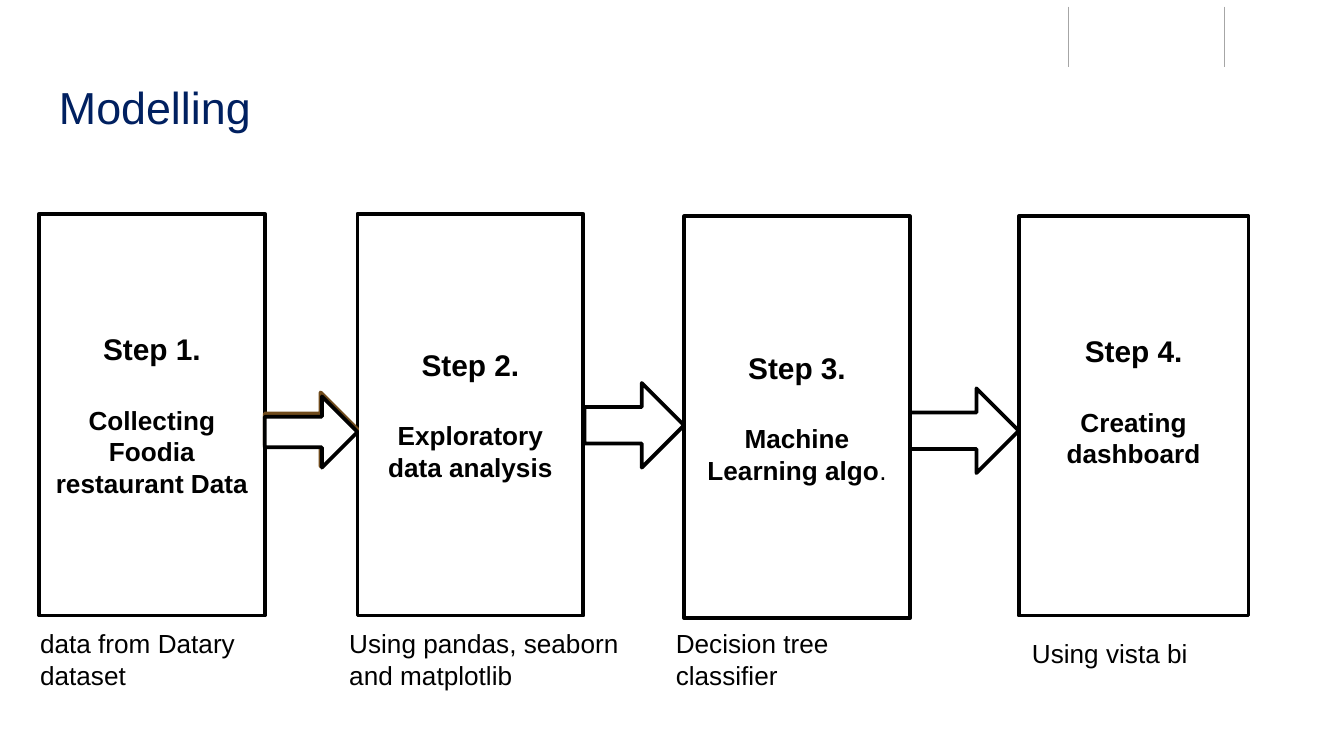
"""Builds the Modelling slide: four steps joined by arrows."""
from lxml import etree
from pptx import Presentation
from pptx.dml.color import RGBColor
from pptx.enum import shapes, text
from pptx.oxml import ns
from pptx.util import Inches, Pt

TITLE = "Modelling"
STEPS = [
    ("Collecting Foodia restaurant Data ", (0.29, 1.59, 1.68, 2.99)),
    ("Exploratory data analysis", (2.66, 1.59, 1.68, 2.99)),
    ("Machine Learning algo", (5.09, 1.61, 1.68, 2.99)),
    ("Creating dashboard", (7.58, 1.61, 1.71, 2.97)),
]
NOTES = [
    ("data from Datary dataset", (0.2, 4.62, 1.77, 0.81)),
    ("Using pandas, seaborn and matplotlib", (2.5, 4.62, 2.28, 0.81)),
    ("Decision tree classifier", (4.93, 4.62, 2.14, 0.81)),
    ("Using vista bi", (7.58, 4.69, 1.86, 0.57)),
]
ARROWS = [
    ((1.97, 2.92, 0.69, 0.55), "FFAB40", "704B1C"),
    ((4.35, 2.85, 0.74, 0.63), "FFFFFF", "000000"),
    ((1.97, 2.95, 0.69, 0.53), "FFFFFF", "000000"),
    ((6.77, 2.89, 0.81, 0.63), "FFFFFF", "000000"),
]
RULES = [7.95, 9.11]


def rgb(code):
    return RGBColor.from_string(code)


def style(para, size, color="000000", bold=False):
    font = para.font
    font.name, font.size, font.bold = "Arial", Pt(size), bold
    font.color.rgb = rgb(color)


def add_rule(slide, x):
    rule = slide.shapes.add_connector(
        shapes.MSO_CONNECTOR.STRAIGHT, *map(Inches, (x, 0.05, x, 0.5)))
    rule.line.color.rgb = rgb("A6A6A6")
    rule.line.width = Pt(0.75)
    etree.SubElement(rule._element.spPr, ns.qn("a:effectLst"))


def add_shape(slide, kind, area, fill="FFFFFF", line="000000"):
    shape = slide.shapes.add_shape(kind, *map(Inches, area))
    shape.shadow.inherit = False
    shape.fill.solid()
    shape.fill.fore_color.rgb = rgb(fill)
    shape.line.color.rgb = rgb(line)
    shape.line.width = Pt(2)
    return shape


def add_text(slide, words, area, size=14, color="000000"):
    frame = slide.shapes.add_textbox(*map(Inches, area)).text_frame
    frame.word_wrap = True
    frame.text = words
    style(frame.paragraphs[0], size, color)
    return frame


def add_step(slide, num, words, area):
    frame = add_shape(slide, shapes.MSO_SHAPE.RECTANGLE, area).text_frame
    frame.word_wrap = True
    frame.vertical_anchor = text.MSO_ANCHOR.MIDDLE
    frame.text = f"Step {num}.\n{words}"
    for para, size in zip(frame.paragraphs, (16, 14)):
        para.alignment = text.PP_ALIGN.CENTER
        style(para, size, bold=True)
    frame.paragraphs[0].space_after = Pt(20)
    return frame


def main():
    deck = Presentation()
    deck.slide_width = Inches(10)
    deck.slide_height = deck.slide_width * 9 // 16
    slide = deck.slides.add_slide(deck.slide_layouts[6])
    for x in RULES:
        add_rule(slide, x)
    title = add_text(slide, TITLE, (0.34, 0.49, 9.32, 0.63), 24, "002060")
    title.margin_top = title.margin_bottom = Inches(0.1)
    frames = [add_step(slide, num, *step) for num, step in enumerate(STEPS, 1)]
    dot = frames[2].paragraphs[1].add_run()
    dot.text, dot.font.bold = ".", False
    frames[3].margin_bottom = Inches(0.27)
    for area, fill, line in ARROWS:
        arrow = add_shape(slide, shapes.MSO_SHAPE.RIGHT_ARROW, area, fill, line)
        arrow.adjustments[0] = 0.43
    for words, area in NOTES:
        add_text(slide, words, area)
    deck.save("out.pptx")


if __name__ == "__main__":
    main()
